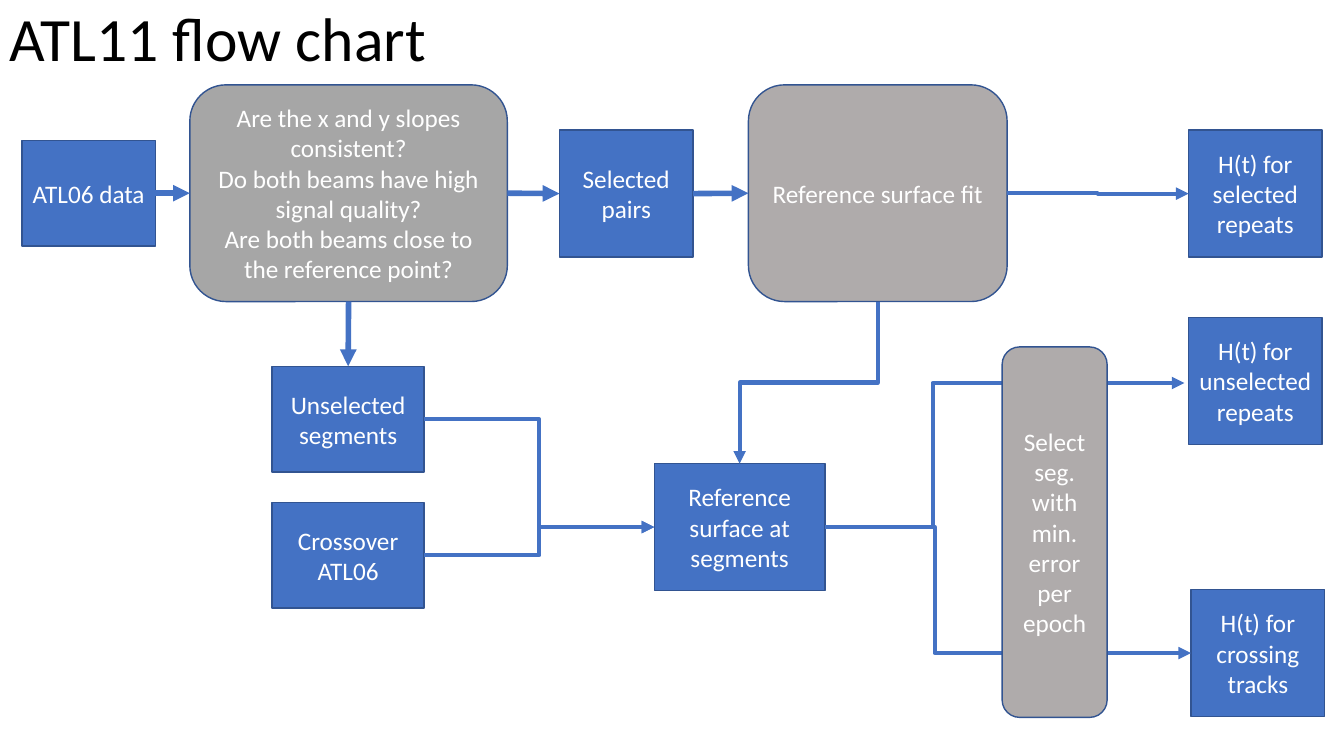
from dataclasses import dataclass

from lxml import etree
from pptx import Presentation
from pptx.dml.color import RGBColor
from pptx.enum.shapes import MSO_CONNECTOR, MSO_SHAPE
from pptx.enum.text import MSO_ANCHOR, PP_ALIGN
from pptx.oxml.ns import qn
from pptx.util import Inches, Pt

RECTANGLE, ROUNDED = MSO_SHAPE.RECTANGLE, MSO_SHAPE.ROUNDED_RECTANGLE
STRAIGHT, ELBOW = MSO_CONNECTOR.STRAIGHT, MSO_CONNECTOR.ELBOW
MIDDLE, CENTER = MSO_ANCHOR.MIDDLE, PP_ALIGN.CENTER
TOP, LEFT, BOTTOM, RIGHT = range(4)

COLORS = {
    "data": "4472C4",
    "check": "A6A6A6",
    "process": "AFABAB",
    "outline": "325491",
    "light": "FFFFFF",
    "title": "000000",
}
FONT = "Calibri"

# Grid of 16 columns by 9 rows
WIDTH, HEIGHT = Inches(13.33), Inches(7.5)
COLUMN, ROW = WIDTH / 16, HEIGHT / 9


@dataclass(frozen=True)
class Box:
    text: str
    column: float
    row: float
    columns: float = 1.59
    rows: float = 1.51
    color: str = "data"

    def side(self, site: int) -> tuple[float, float]:
        """Middle of one side, in columns and rows."""
        across = {LEFT: 0, RIGHT: 1}.get(site, 0.5)
        down = {TOP: 0, BOTTOM: 1}.get(site, 0.5)
        return self.column + across * self.columns, self.row + down * self.rows


@dataclass(frozen=True)
class Arrow:
    begin: str
    end: str
    begin_site: int = RIGHT
    end_site: int = LEFT


@dataclass(frozen=True)
class Bend:
    begin: tuple[float, float]
    end: tuple[float, float]
    turn: float = 0.5
    downward: bool = False


BOXES = {
    "input": Box("ATL06 data", 0.26, 1.67, rows=1.26),
    "checks": Box(
        "Are the x and y slopes consistent?\n"
        "Do both beams have high signal quality?\n"
        "Are both beams close to the reference point?",
        2.26, 1.01, 3.78, 2.58, "check"),
    "pairs": Box("Selected pairs", 6.66, 1.55),
    "fit": Box("Reference surface fit", 8.91, 1.01, 3.08, 2.58, "process"),
    "unselected": Box("Unselected segments", 3.24, 4.36, 1.81, 1.26),
    "crossover": Box("Crossover ATL06", 3.24, 5.98, 1.81, 1.26),
    "surface": Box("Reference surface at segments", 7.79, 5.52, 2.03),
    "selected repeats": Box("H(t) for selected repeats", 14.15, 1.55),
    "unselected repeats": Box("H(t) for unselected repeats", 14.15, 3.78),
    "crossing tracks": Box("H(t) for crossing tracks", 14.18, 7.02),
}
SELECTOR = Box("Select seg. with min. error per epoch", 11.93, 4.13, 1.25, 4.41, "process")

ARROWS = [
    Arrow("input", "checks"),
    Arrow("checks", "pairs"),
    Arrow("pairs", "fit"),
    Arrow("checks", "unselected", BOTTOM, TOP),
]

SURFACE_IN, SURFACE_OUT = BOXES["surface"].side(LEFT), BOXES["surface"].side(RIGHT)
BENDS = [
    Bend(BOXES["fit"].side(RIGHT), BOXES["selected repeats"].side(LEFT)),
    Bend(BOXES["fit"].side(BOTTOM), BOXES["surface"].side(TOP), downward=True),
    Bend(BOXES["unselected"].side(RIGHT), SURFACE_IN),
    Bend(BOXES["crossover"].side(RIGHT), SURFACE_IN),
    Bend(SURFACE_OUT, (14.1, 4.56), 0.3),
    Bend(SURFACE_OUT, BOXES["crossing tracks"].side(LEFT), 0.3),
]


def color(name: str) -> RGBColor:
    return RGBColor.from_string(COLORS[name])


def place(column: float, row: float) -> tuple[int, int]:
    return round(column * COLUMN), round(row * ROW)


def add_title(slide, text: str) -> None:
    title = slide.shapes.add_textbox(*place(0, -0.07), *place(13.8, 1.13))
    frame = title.text_frame
    frame.word_wrap = True
    frame.vertical_anchor = MIDDLE
    paragraph = frame.paragraphs[0]
    paragraph.text = text
    paragraph.line_spacing = 0.9
    paragraph.font.name = FONT
    paragraph.font.size = Pt(44)
    paragraph.font.color.rgb = color("title")


def add_box(slide, box: Box):
    preset = RECTANGLE if box.color == "data" else ROUNDED
    shape = slide.shapes.add_shape(
        preset, *place(box.column, box.row), *place(box.columns, box.rows))
    shape.shadow.inherit = False
    shape.fill.solid()
    shape.fill.fore_color.rgb = color(box.color)
    shape.line.color.rgb = color("outline")
    shape.line.width = Pt(1)
    frame = shape.text_frame
    frame.word_wrap = True
    frame.vertical_anchor = MIDDLE
    frame.text = box.text
    for paragraph in frame.paragraphs:
        paragraph.alignment = CENTER
        paragraph.font.name = FONT
        paragraph.font.size = Pt(18)
        paragraph.font.color.rgb = color("light")
    return shape


def style_connector(connector, width: float) -> None:
    connector.line.color.rgb = color("data")
    connector.line.width = Pt(width)
    etree.SubElement(connector.line._get_or_add_ln(), qn("a:tailEnd"), type="triangle")
    etree.SubElement(connector._element.spPr, qn("a:effectLst"))


def add_arrow(slide, arrow: Arrow, shapes: dict) -> None:
    connector = slide.shapes.add_connector(STRAIGHT, 0, 0, 0, 0)
    connector.begin_connect(shapes[arrow.begin], arrow.begin_site)
    connector.end_connect(shapes[arrow.end], arrow.end_site)
    style_connector(connector, 4)


def add_bend(slide, bend: Bend) -> None:
    (x1, y1), (x2, y2) = place(*bend.begin), place(*bend.end)
    if bend.downward:
        # The frame lies on its side and is then turned by 90 degrees
        middle_x, middle_y = (x1 + x2) // 2, (y1 + y2) // 2
        half_width, half_height = abs(y2 - y1) // 2, abs(x2 - x1) // 2
        x1, x2 = middle_x - half_width, middle_x + half_width
        y1, y2 = middle_y - half_height, middle_y + half_height
    connector = slide.shapes.add_connector(ELBOW, x1, y1, x2, y2)
    properties = connector._element.spPr
    if bend.downward:
        properties.find(qn("a:xfrm")).set("rot", str(90 * 60000))
    adjustments = properties.find(qn("a:prstGeom")).find(qn("a:avLst"))
    etree.SubElement(adjustments, qn("a:gd"), name="adj1",
                     fmla=f"val {round(bend.turn * 100000)}")
    style_connector(connector, 3)


def main() -> None:
    presentation = Presentation()
    presentation.slide_width, presentation.slide_height = WIDTH, HEIGHT
    slide = presentation.slides.add_slide(presentation.slide_layouts[6])

    # Title and boxes
    add_title(slide, "ATL11 flow chart")
    shapes = {name: add_box(slide, box) for name, box in BOXES.items()}

    # Flow between the boxes
    for arrow in ARROWS:
        add_arrow(slide, arrow, shapes)
    for bend in BENDS:
        add_bend(slide, bend)

    # The selector lies over the lines that pass through it
    add_box(slide, SELECTOR)
    presentation.save("out.pptx")


if __name__ == "__main__":
    main()
